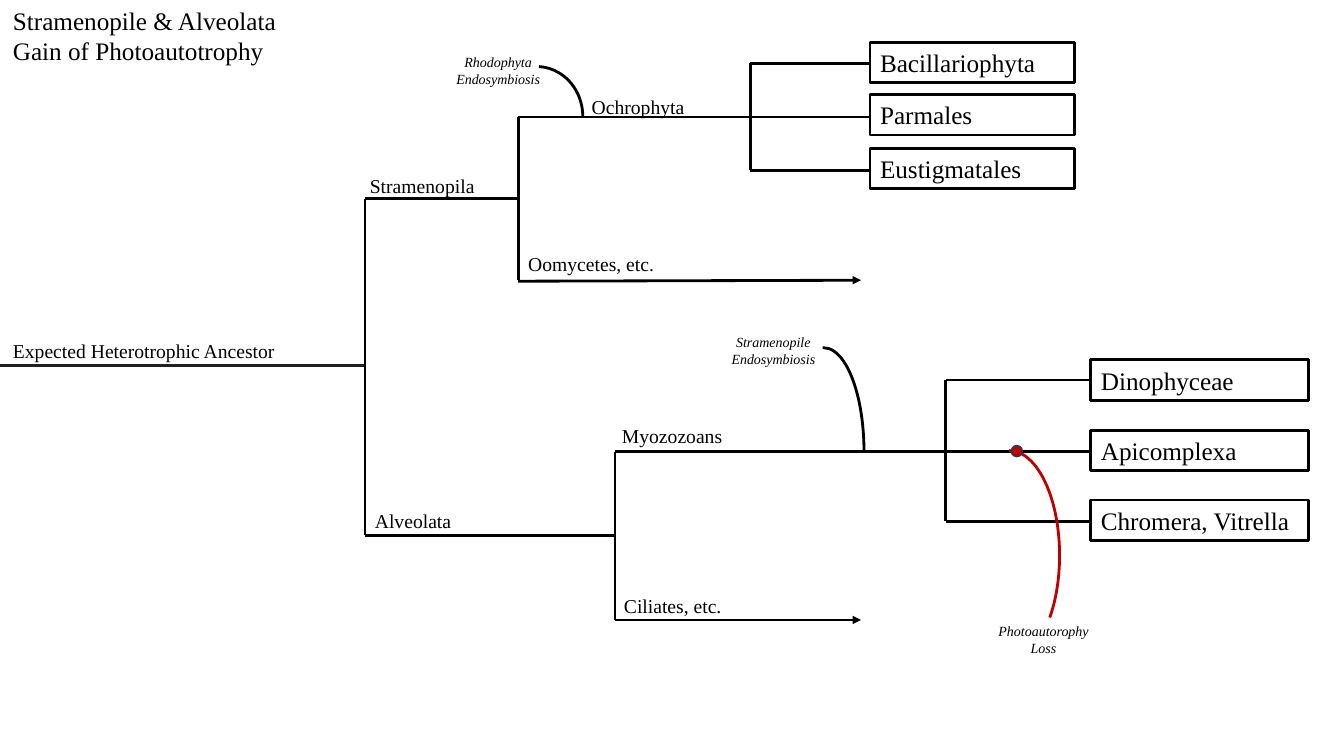
"""Build a cladogram slide on the gain of photoautotrophy."""
from dataclasses import dataclass

from lxml.etree import SubElement
from pptx import Presentation
from pptx.dml.color import RGBColor
from pptx.enum.shapes import MSO_CONNECTOR as Connector
from pptx.enum.shapes import MSO_SHAPE as Shape
from pptx.enum.text import MSO_ANCHOR as Anchor
from pptx.enum.text import MSO_AUTO_SIZE as AutoSize
from pptx.enum.text import PP_ALIGN as Align
from pptx.oxml.ns import qn
from pptx.util import Inches, Pt


@dataclass(frozen=True)
class Theme:
    """Colours, font and sizes of the slide."""
    font: str = "Times New Roman"
    ink: str = "000000"
    root: str = "202020"
    loss: str = "C00000"
    dot_edge: str = "1D3A6B"
    heading: int = 18
    clade: int = 14
    event: int = 10
    line: int = 2
    dot_line: int = 1


THEME = Theme()


def style_line(line, color, width=THEME.line):
    """Give an outline its colour and width."""
    line.color.rgb = RGBColor.from_string(color)
    line.width = Pt(width)


def write(shape, text, size, align=Align.LEFT, italic=False):
    """Fill a shape with formatted text."""
    frame = shape.text_frame
    frame.word_wrap = True
    frame.auto_size = AutoSize.SHAPE_TO_FIT_TEXT
    frame.text = text
    for paragraph in frame.paragraphs:
        paragraph.alignment = align
        for run in paragraph.runs:
            run.font.name = THEME.font
            run.font.size = Pt(size)
            run.font.italic = italic
            run.font.color.rgb = RGBColor.from_string(THEME.ink)


def add_branch(slide, start, end, color=THEME.ink, arrow=False):
    """Draw a straight branch, with an arrowhead if wanted."""
    points = [Inches(value) for value in (*start, *end)]
    branch = slide.shapes.add_connector(Connector.STRAIGHT, *points)
    style_line(branch.line, color)
    if arrow:
        SubElement(branch.line._get_or_add_ln(), qn("a:tailEnd"), type="triangle")
    SubElement(branch._element.spPr, qn("a:effectLst"))


def add_fork(slide, x, top, middle, bottom):
    """Draw the two upright halves of a split."""
    add_branch(slide, (x, middle), (x, top))
    add_branch(slide, (x, bottom), (x, middle))


def add_outline(slide, kind, bounds, color=THEME.ink, width=THEME.line):
    """Draw an unfilled preset shape."""
    shape = slide.shapes.add_shape(kind, *map(Inches, bounds))
    shape.shadow.inherit = False
    shape.fill.background()
    style_line(shape.line, color, width)
    return shape


def add_arc(slide, bounds, start, end=0, color=THEME.ink):
    """Draw an arc between two angle settings."""
    arc = add_outline(slide, Shape.ARC, bounds, color)
    arc.adjustments[0] = start
    arc.adjustments[1] = end


def add_taxa(slide, left, width, split, taxa):
    """Draw the boxed taxa and the twigs that reach them from a split."""
    for name, top, twig in taxa:
        add_branch(slide, (split, twig), (left, twig))
        box = add_outline(slide, Shape.RECTANGLE, (left, top, width, 0.4))
        box.text_frame.vertical_anchor = Anchor.MIDDLE
        write(box, name, THEME.heading)


def add_text(slide, bounds, text, size, **style):
    """Place a text box."""
    write(slide.shapes.add_textbox(*map(Inches, bounds)), text, size, **style)


def add_clade(slide, text, left, top, width=1.96):
    """Name a clade above its branch."""
    add_text(slide, (left, top, width, 0.34), text, THEME.clade)


def add_event(slide, text, left, top):
    """Name an evolutionary event."""
    add_text(slide, (left, top, 1.18, 0.44), text, THEME.event,
             align=Align.CENTER, italic=True)


def add_dot(slide, bounds):
    """Mark the point of loss."""
    dot = add_outline(slide, Shape.OVAL, bounds, THEME.dot_edge, THEME.dot_line)
    dot.fill.solid()
    dot.fill.fore_color.rgb = RGBColor.from_string(THEME.loss)


def main():
    """Build and save the slide."""
    presentation = Presentation()
    presentation.slide_width = Inches(13.33)
    presentation.slide_height = Inches(7.5)
    slide = presentation.slides.add_slide(presentation.slide_layouts[6])

    add_branch(slide, (-0.08, 3.63), (3.62, 3.63), THEME.root)
    for fork in ((3.62, 1.97, 3.64, 5.31), (5.14, 1.16, 1.97, 2.78),
                 (6.1, 4.48, 5.31, 6.15), (7.44, 0.63, 1.16, 1.69),
                 (9.38, 3.77, 4.48, 5.17)):
        add_fork(slide, *fork)
    for left, right, y in ((3.62, 5.14, 1.97), (3.62, 6.1, 5.31),
                           (5.14, 6.29, 1.16), (6.29, 7.44, 1.16),
                           (6.1, 9.38, 4.48)):
        add_branch(slide, (left, y), (right, y))
    add_branch(slide, (5.14, 2.79), (8.54, 2.78), arrow=True)
    add_branch(slide, (6.1, 6.15), (8.54, 6.15), arrow=True)

    add_taxa(slide, 8.63, 2.03, 7.44, (
        ("Bacillariophyta", 0.42, 0.63),
        ("Parmales", 0.94, 1.16),
        ("Eustigmatales", 1.47, 1.69)))
    add_taxa(slide, 10.82, 2.16, 9.38, (
        ("Dinophyceae", 3.57, 3.77),
        ("Apicomplexa", 4.27, 4.48),
        ("Chromera, Vitrella", 4.96, 5.17)))

    add_clade(slide, "Expected Heterotrophic Ancestor", 0.03, 3.31, 3.28)
    add_clade(slide, "Stramenopila", 3.57, 1.68)
    add_clade(slide, "Alveolata", 3.62, 5)
    add_clade(slide, "Ochrophyta", 5.77, 0.89)
    add_clade(slide, "Oomycetes, etc.", 5.14, 2.45)
    add_clade(slide, "Myozozoans", 6.07, 4.16, 2.14)
    add_clade(slide, "Ciliates, etc.", 6.09, 5.84, 2.14)

    add_arc(slide, (4.86, 0.66, 0.92, 0.99), 163.8)
    add_arc(slide, (7.77, 3.45, 0.8, 2.06), 161.63)
    add_arc(slide, (9.51, 4.47, 1, 2.08), 162, 34.12, THEME.loss)
    add_event(slide, "Rhodophyta Endosymbiosis", 4.35, 0.48)
    add_event(slide, "Stramenopile Endosymbiosis", 7.08, 3.26)
    add_event(slide, "Photoautorophy Loss", 9.76, 6.13)
    add_text(slide, (0.03, 0, 3.14, 1.31),
             "Stramenopile & Alveolata\nGain of Photoautotrophy", THEME.heading)
    add_dot(slide, (10.03, 4.42, 0.11, 0.11))

    presentation.save("out.pptx")


if __name__ == "__main__":
    main()
